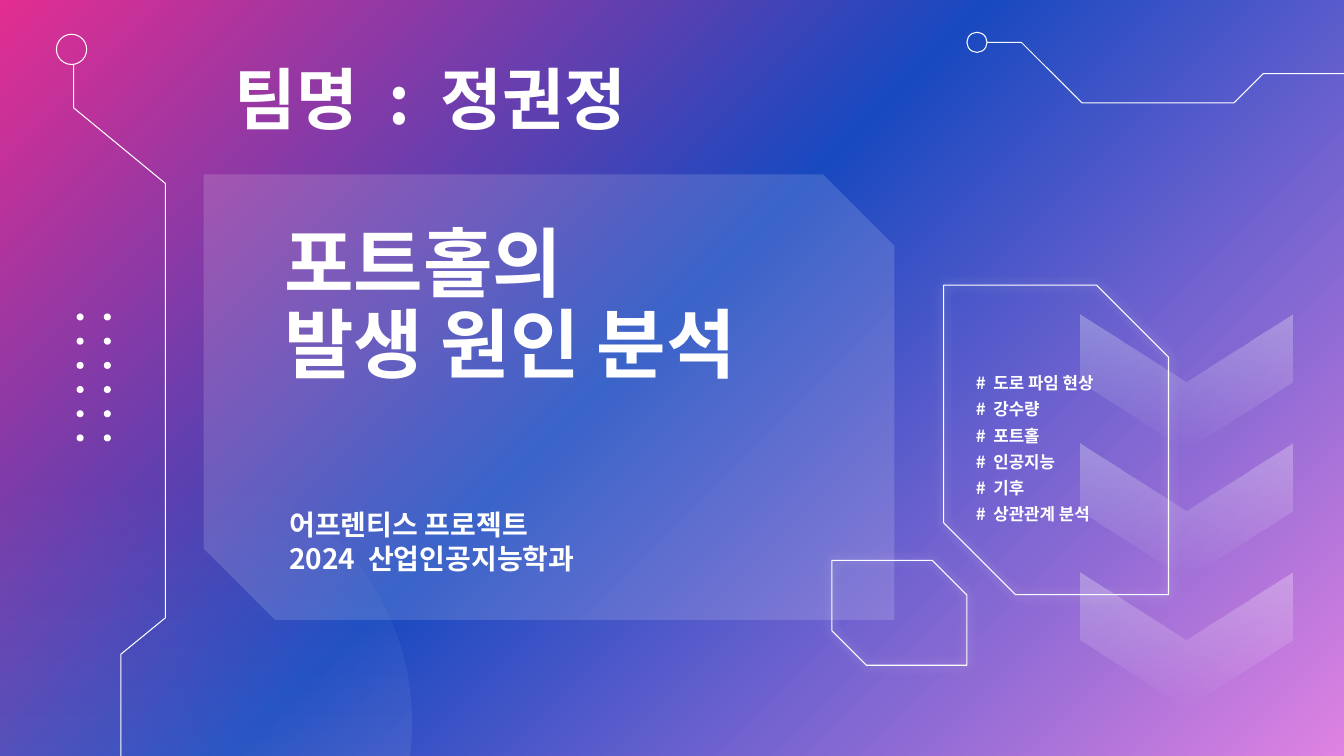
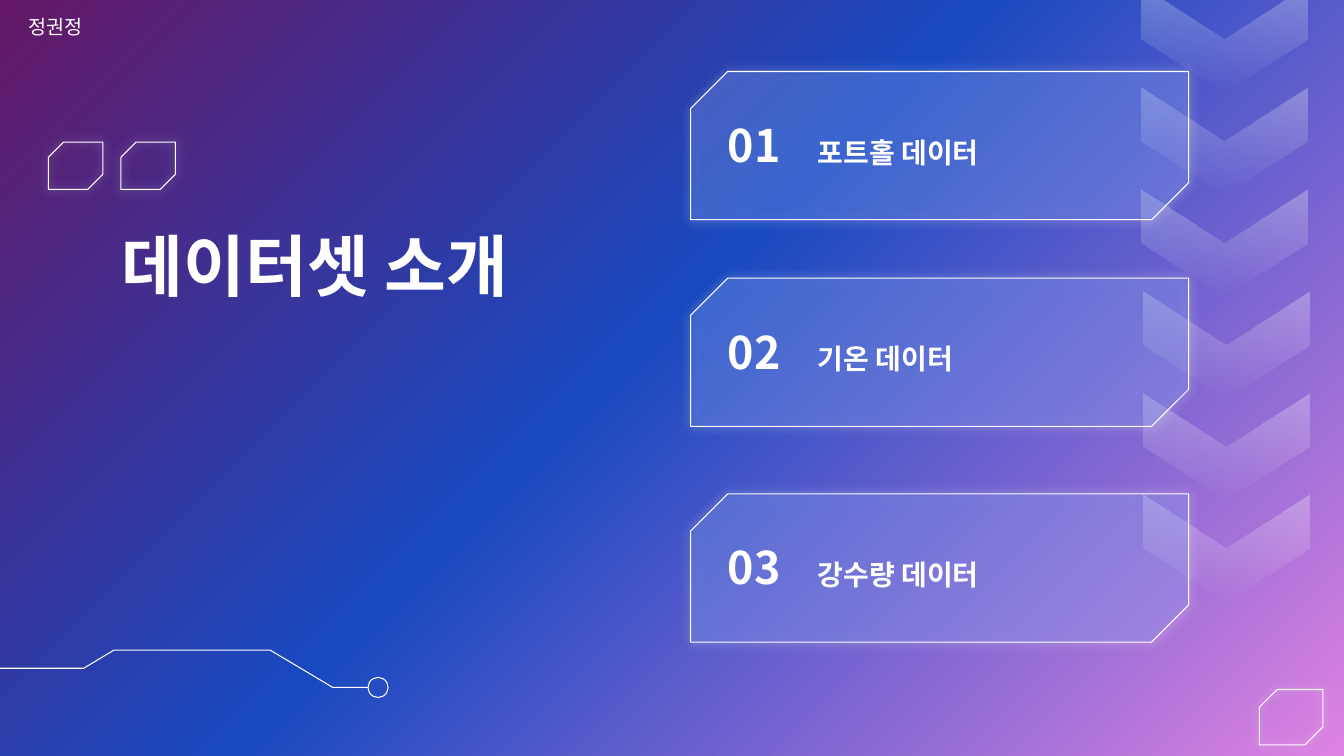
from lxml.etree import SubElement
from pptx import Presentation
from pptx.dml.color import RGBColor
from pptx.enum.shapes import MSO_SHAPE
from pptx.enum.text import MSO_ANCHOR, PP_ALIGN
from pptx.oxml.ns import qn
from pptx.util import Inches, Pt

WHITE = RGBColor(0xFF, 0xFF, 0xFF)
PINK = RGBColor(0xE3, 0x2D, 0x91)
PLUM = RGBColor(0x64, 0x18, 0x66)
BLUE = RGBColor(0x19, 0x49, 0xC0)
LILAC = RGBColor(0xDF, 0x82, 0xE2)
CARD_BLUE = RGBColor(0x47, 0x75, 0xE7)

HEADING_FONT = "Noto Sans CJK KR"
BODY_FONT = "Lato"
SPACE_WIDTH = 0.224


def add_color(parent, color, opacity=100):
    node = SubElement(parent, qn("a:srgbClr"), val=str(color))
    if opacity < 100:
        SubElement(node, qn("a:alpha"), val=str(opacity * 1000))


def set_gradient(element, fill, stops, angle):
    fill.gradient()
    fill.gradient_angle = 360 - angle
    stop_list = element.find(".//" + qn("a:gsLst"))
    for stop in list(stop_list):
        stop_list.remove(stop)
    for position, color, opacity in stops:
        stop = SubElement(stop_list, qn("a:gs"), pos=str(position * 1000))
        add_color(stop, color, opacity)


def add_slide(presentation, corner_color):
    slide = presentation.slides.add_slide(presentation.slide_layouts[6])
    stops = [(0, corner_color, 100), (47, BLUE, 100), (100, LILAC, 100)]
    set_gradient(slide.element, slide.background.fill, stops, 45)
    return slide


def set_fill(shape, color, opacity=100):
    shape.fill.solid()
    shape.fill.fore_color.rgb = color
    if opacity < 100:
        color_node = shape.element.spPr.find(qn("a:solidFill"))[0]
        SubElement(color_node, qn("a:alpha"), val=str(opacity * 1000))


def set_outline(shape):
    shape.line.color.rgb = WHITE
    shape.line.width = Pt(0.75)


def add_preset(slide, kind, left, top, width, height):
    shape = slide.shapes.add_shape(
        kind, Inches(left), Inches(top), Inches(width), Inches(height)
    )
    shape.shadow.inherit = False
    shape.fill.background()
    shape.line.fill.background()
    return shape


def add_outline(slide, points, close=False):
    corners = [(Inches(x), Inches(y)) for x, y in points]
    builder = slide.shapes.build_freeform(*corners[0], scale=1.0)
    builder.add_line_segments(corners[1:], close=close)
    shape = builder.convert_to_shape()
    shape.shadow.inherit = False
    shape.fill.background()
    return shape


def add_circuit(slide, points, center, radius):
    set_outline(add_outline(slide, points))
    x, y = center
    node = add_preset(
        slide, MSO_SHAPE.OVAL, x - radius, y - radius, 2 * radius, 2 * radius
    )
    set_outline(node)


def add_snipped(slide, box, falling=0, rising=0):
    shape = add_preset(slide, MSO_SHAPE.SNIP_2_DIAG_RECTANGLE, *box)
    shape.adjustments[0] = falling
    shape.adjustments[1] = rising
    return shape


def add_glowing_frame(slide, box, falling=0, rising=0):
    shape = add_snipped(slide, box, falling, rising)
    set_outline(shape)
    effects = shape.element.spPr.find(qn("a:effectLst"))
    glow = SubElement(
        effects, qn("a:outerShdw"), blurRad=str(Pt(7.9)), dist="0",
        algn="ctr", rotWithShape="0",
    )
    add_color(glow, WHITE, 70)
    return shape


def add_chevron(slide, left, top, width, height):
    right, middle = left + width, left + width / 2
    bottom, notch = top + height, height / 2
    points = [
        (left, top), (middle, top + notch), (right, top),
        (right, bottom - notch), (middle, bottom), (left, bottom - notch),
    ]
    shape = add_outline(slide, points, close=True)
    shape.line.fill.background()
    set_gradient(shape.element, shape.fill, [(0, WHITE, 30), (100, WHITE, 0)], 90)


def add_run(paragraph, text, size, font, bold):
    run = paragraph.add_run()
    run.text = text
    run.font.size = Pt(size)
    run.font.bold = bold
    run.font.name = font
    run.font.color.rgb = WHITE
    properties = run.font._element
    SubElement(properties, qn("a:ea"), typeface=HEADING_FONT)
    return properties


def add_text(slide, box, lines, size, spacing=1.0, font=HEADING_FONT, bold=True,
             align=PP_ALIGN.LEFT, anchor=MSO_ANCHOR.TOP):
    text_box = slide.shapes.add_textbox(*[Inches(length) for length in box])
    frame = text_box.text_frame
    frame.word_wrap = True
    frame.vertical_anchor = anchor
    for index, line in enumerate(lines):
        paragraph = frame.add_paragraph() if index else frame.paragraphs[0]
        paragraph.alignment = align
        paragraph.line_spacing = spacing
        for part, words in enumerate(line.split("|")):
            if part:
                gap = add_run(paragraph, " ", size, font, bold)
                gap.set("spc", str(round(size * SPACE_WIDTH * 100)))
            add_run(paragraph, words, size, font, bold)


def add_dots(slide):
    for column in range(2):
        for row in range(6):
            dot = add_preset(
                slide, MSO_SHAPE.OVAL,
                0.76 + 0.27 * column, 3.11 + 0.24 * row, 0.07, 0.07,
            )
            set_fill(dot, WHITE)


def add_card(slide, top, number, label):
    card = add_glowing_frame(slide, (6.85, top, 4.94, 1.47), falling=0.25)
    set_fill(card, CARD_BLUE, 20)
    add_text(slide, (7.09, top + 0.41, 0.78, 0.63), [f"{number:02}"], 32,
             align=PP_ALIGN.CENTER, anchor=MSO_ANCHOR.MIDDLE)
    add_text(slide, (8.01, top + 0.48, 3.27, 0.49), [label], 20, spacing=1.3)


def build_cover(presentation):
    slide = add_slide(presentation, PINK)
    set_fill(add_snipped(slide, (2.02, 1.73, 6.85, 4.42), rising=0.16), WHITE, 15)
    for index in range(3):
        add_chevron(slide, 10.72, 3.12 + 1.28 * index, 2.1, 1.34)
    halo = add_preset(slide, MSO_SHAPE.OVAL, -1.04, 4.61, 5.12, 5.12)
    set_gradient(halo.element, halo.fill, [(0, WHITE, 0), (100, WHITE, 15)], 90)
    add_text(slide, (2.72, 2.19, 5.82, 2.42), ["포트홀의", "발생 원인 분석"], 54,
             spacing=0.9)
    add_circuit(
        slide,
        [(13.33, 0.73), (12.53, 0.73), (12.24, 1.02), (10.73, 1.02),
         (10.13, 0.42), (9.79, 0.42)],
        (9.69, 0.42), 0.1,
    )
    add_dots(slide)
    add_circuit(
        slide,
        [(1.2, 7.5), (1.2, 6.49), (1.64, 6.13), (1.64, 1.82),
         (0.73, 1.07), (0.73, 0.64)],
        (0.71, 0.49), 0.15,
    )
    add_text(slide, (2.77, 4.99, 5.48, 0.77),
             ["어프렌티스 프로젝트", "2024|산업인공지능학과"], 20)
    keywords = ["도로 파임 현상", "강수량", "포트홀", "인공지능", "기후", "상관관계 분석"]
    add_text(slide, (9.58, 3.59, 1.88, 1.65),
             [f"#|{keyword}" for keyword in keywords], 12, spacing=1.3)
    add_glowing_frame(slide, (8.25, 5.56, 1.34, 1.04), rising=0.33)
    add_glowing_frame(slide, (9.36, 2.83, 2.23, 3.07), rising=0.32)
    add_text(slide, (2.23, 0.52, 5.77, 0.91), ["팀명|:|정권정"], 48)


def build_datasets(presentation):
    slide = add_slide(presentation, PLUM)
    add_glowing_frame(slide, (12.49, 6.84, 0.63, 0.55), falling=0.32)
    add_text(slide, (0.18, 0.13, 2.05, 0.36), ["정권정"], 14, spacing=0.9,
             font=BODY_FONT, bold=False)
    for index in range(6):
        left = 11.32 if index < 3 else 11.34
        add_chevron(slide, left, -0.14 + 1.01 * index, 1.65, 1.06)
    add_text(slide, (1.11, 2.18, 5.37, 0.91), ["데이터셋 소개"], 48)
    cards = [(0.71, "포트홀 데이터"), (2.76, "기온 데이터"), (4.9, "강수량 데이터")]
    for number, (top, label) in enumerate(cards, start=1):
        add_card(slide, top, number, label)
    add_circuit(
        slide,
        [(0, 6.63), (0.83, 6.63), (1.13, 6.45), (2.68, 6.45),
         (3.3, 6.82), (3.65, 6.82)],
        (3.75, 6.82), 0.1,
    )
    for left in (0.48, 1.2):
        add_glowing_frame(slide, (left, 1.41, 0.54, 0.47), falling=0.32)


def main():
    presentation = Presentation()
    presentation.slide_width = Inches(13.33)
    presentation.slide_height = Inches(7.5)
    build_cover(presentation)
    build_datasets(presentation)
    presentation.save("out.pptx")


if __name__ == "__main__":
    main()
